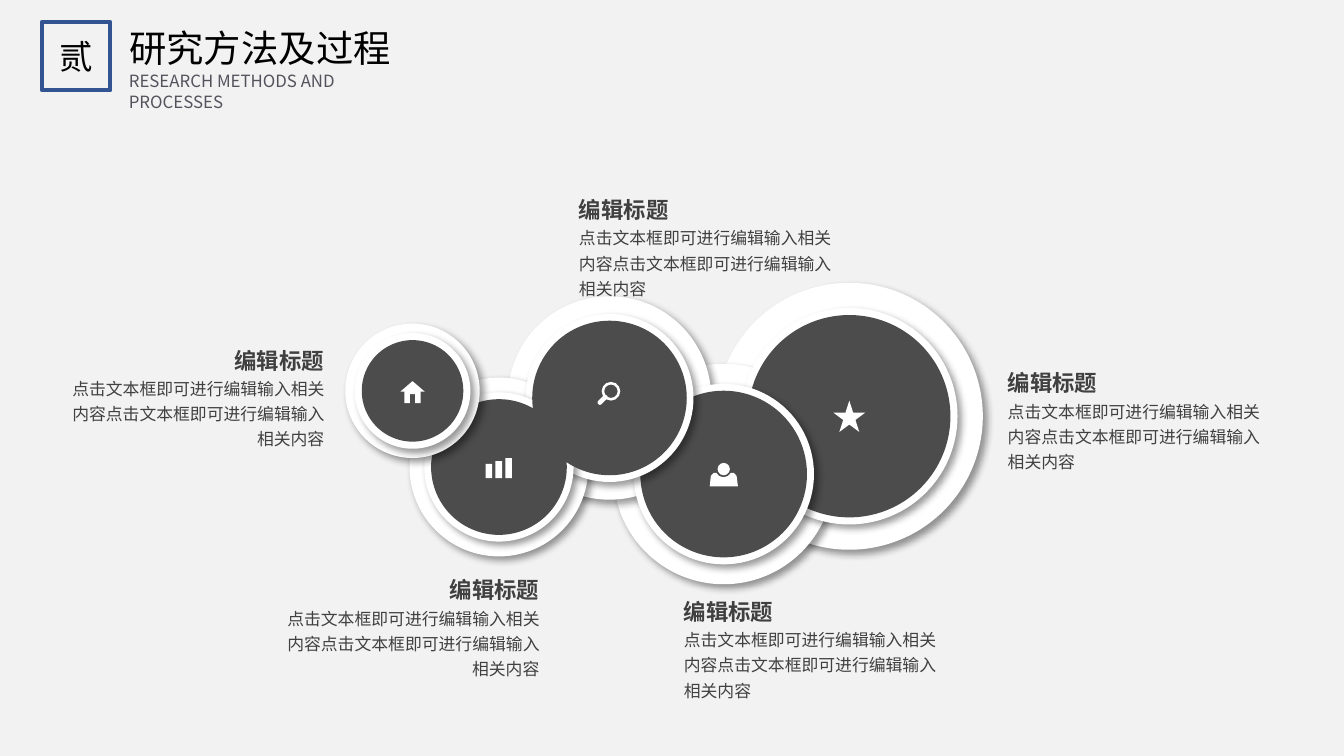
"""Build the research methods slide with five linked discs and their labels."""
from dataclasses import dataclass

from lxml.etree import SubElement as Sub
from pptx import Presentation
from pptx.dml.color import RGBColor as Rgb
from pptx.enum.shapes import MSO_SHAPE as Kind
from pptx.enum.text import MSO_ANCHOR as Anchor, MSO_AUTO_SIZE as Fit, PP_ALIGN as Align
from pptx.oxml.ns import qn
from pptx.util import Pt


@dataclass(frozen=True)
class Theme:
    font: str = "Noto Sans CJK SC"
    back: str = "F2F2F2"
    white: str = "FFFFFF"
    disc: str = "4C4C4C"
    text: str = "404040"
    black: str = "000000"
    grey: str = "54525C"
    blue: str = "325491"
    title: int = 20
    mark: int = 18
    head: int = 12
    body: int = 9


theme = Theme()


def draw(kind, left, top, wide, high, color):
    shape = slide.shapes.add_shape(kind, Pt(left), Pt(top), Pt(wide), Pt(high))
    shape.shadow.inherit = False
    shape.fill.solid()
    shape.fill.fore_color.rgb = Rgb.from_string(color)
    shape.line.fill.background()
    return shape


def write(box, text, size, color, align=Align.LEFT, bold=False, gap=1.0):
    frame = box.text_frame
    frame.text = text
    frame.word_wrap = True
    frame.auto_size = Fit.NONE
    para = frame.paragraphs[0]
    para.alignment = align
    para.line_spacing = gap
    font = para.runs[0].font
    font.name, font.size, font.bold = theme.font, Pt(size), bold
    font.color.rgb = Rgb.from_string(color)
    for latin in box.element.findall(".//" + qn("a:latin")):
        east = Sub(latin.getparent(), qn("a:ea"), typeface=theme.font)
        latin.addnext(east)


deck = Presentation()
deck.slide_width, deck.slide_height = Pt(720), Pt(405)
slide = deck.slides.add_slide(deck.slide_layouts[5])
slide.background.fill.solid()
slide.background.fill.fore_color.rgb = Rgb.from_string(theme.back)

title = slide.shapes.title
title.left, title.top, title.width, title.height = Pt(62), Pt(10), Pt(210), Pt(31.5)
write(title, "研究方法及过程", theme.title, theme.black)
title.text_frame.vertical_anchor = Anchor.TOP

sub = slide.shapes.add_textbox(Pt(62), Pt(34.5), Pt(155), Pt(18))
write(sub, "RESEARCH METHODS AND PROCESSES", theme.body, theme.grey)

mark = draw(Kind.RECTANGLE, 22.5, 11.8, 36.6, 36.6, theme.back)
mark.fill.background()
mark.line.color.rgb = Rgb.from_string(theme.blue)
mark.line.width = Pt(2.25)
write(mark, "贰", theme.mark, theme.black, Align.CENTER)
mark.text_frame.vertical_anchor = Anchor.MIDDLE

# fmt: off
discs = [
    (221, 209.4, (72, 62, 54.4)),
    (267.3, 250.2, (95.8, 80, 72.7)),
    (326.5, 213.2, (109, 90, 82.8)),
    (387.7, 254, (118.1, 96.7, 89.3)),
    (455, 223, (143, 116, 108.4)),
]
stack = [(4, 0), (3, 0), (2, 0), (1, 0), (4, 1), (4, 2), (3, 1), (3, 2),
         (2, 1), (1, 1), (1, 2), (0, 0), (0, 1), (0, 2), (2, 2)]
for index, ring in stack:
    mid_x, mid_y, sizes = discs[index]
    size = sizes[ring]
    color = theme.disc if ring == 2 else theme.white
    disc = draw(Kind.OVAL, mid_x - size / 2, mid_y - size / 2, size, size, color)
    if ring < 2:
        effect = disc.element.spPr.find(qn("a:effectLst"))
        cast = Sub(effect, qn("a:outerShdw"), blurRad=str(Pt(4)), dist=str(Pt(3)),
                   dir="2700000", algn="tl", rotWithShape="0")
        shade = Sub(cast, qn("a:srgbClr"), val=theme.black)
        Sub(shade, qn("a:alpha"), val="40000")

draw(Kind.ISOSCELES_TRIANGLE, 214.5, 204.2, 13, 5.6, theme.white)
for step in range(3):
    high = 7.6 + 1.6 * step
    draw(Kind.RECTANGLE, 260.1 + 5.3 * step, 256.2 - high, 3.6, high, theme.white)
lens = draw(Kind.DONUT, 322.3, 204.6, 10, 10, theme.white)
lens.adjustments[0] = 0.14
grip = draw(Kind.ROUNDED_RECTANGLE, 319.6, 213, 6.4, 2.4, theme.white)
grip.adjustments[0] = 0.4
grip.rotation = -45
draw(Kind.OVAL, 384.4, 248, 6.6, 6.6, theme.white)
draw(Kind.STAR_5_POINT, 446.4, 214.6, 17.2, 16.8, theme.white)

house = [(216.6, 209.5), (216.6, 216), (219.6, 216), (219.6, 211.2),
         (222.4, 211.2), (222.4, 216), (225.4, 216), (225.4, 209.5)]
torso = [(382.3, 253.4), (383.8, 253.4), (385.2, 255.1), (387.6, 255.7),
         (390, 255.1), (391.5, 253.4), (393.1, 253.4), (394.6, 255),
         (395.3, 260.6), (380.2, 260.6), (380.8, 255)]
for points in (house, torso):
    spots = [(Pt(x), Pt(y)) for x, y in points]
    pen = slide.shapes.build_freeform(*spots[0])
    pen.add_line_segments(spots[1:], close=True)
    icon = pen.convert_to_shape()
    icon.shadow.inherit = False
    icon.fill.solid()
    icon.fill.fore_color.rgb = Rgb.from_string(theme.white)
    icon.line.fill.background()

labels = [
    (532.8, 194.4, Align.LEFT),
    (359.3, 316.8, Align.LEFT),
    (303.1, 101.5, Align.LEFT),
    (142.6, 305.3, Align.RIGHT),
    (27.4, 182.2, Align.RIGHT),
]
wide, short = 153.4, 79.2
for left, top, align in labels:
    shift = wide - short if align == Align.RIGHT else 0
    head = slide.shapes.add_textbox(Pt(left + shift), Pt(top), Pt(short), Pt(21.6))
    write(head, "编辑标题", theme.head, theme.text, align, bold=True)
    body = slide.shapes.add_textbox(Pt(left), Pt(top + 14.4), Pt(wide), Pt(48))
    write(body, "点击文本框即可进行编辑输入相关内容点击文本框即可进行编辑输入相关内容",
          theme.body, theme.text, align, gap=1.25)

deck.save("out.pptx")
